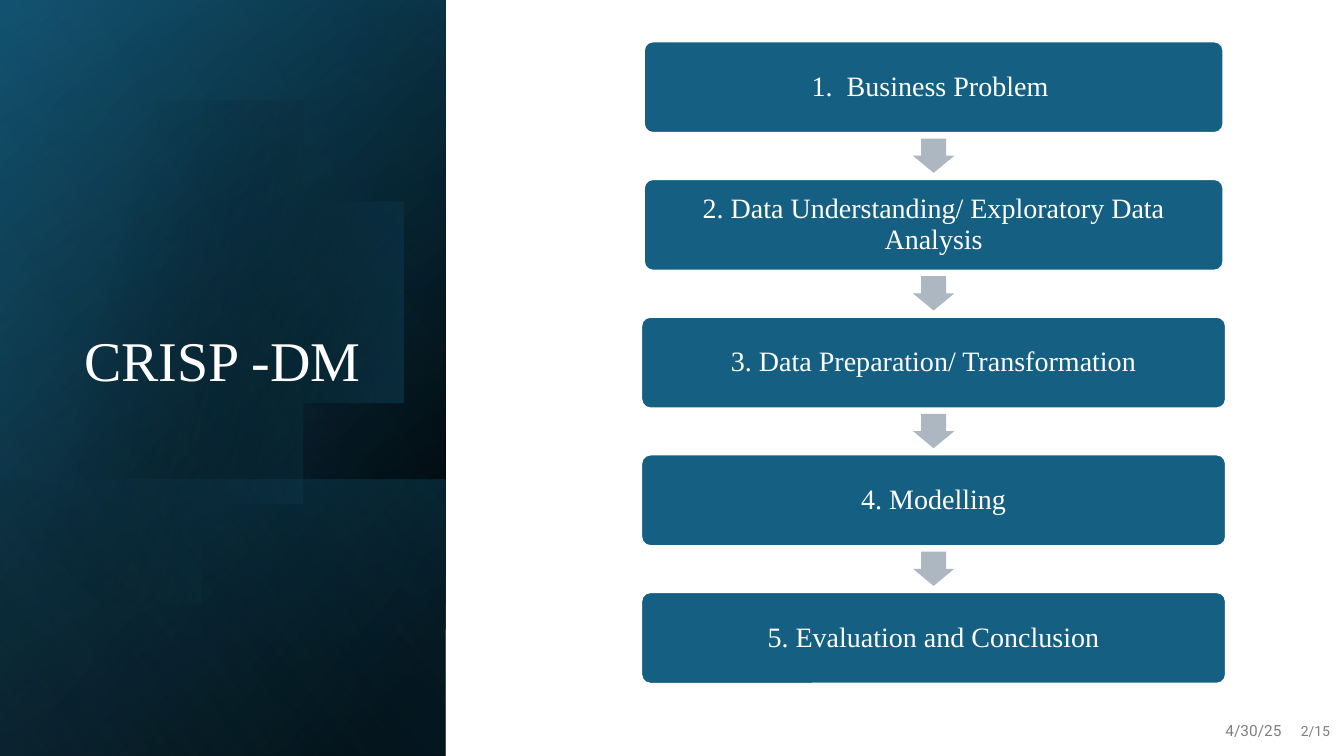
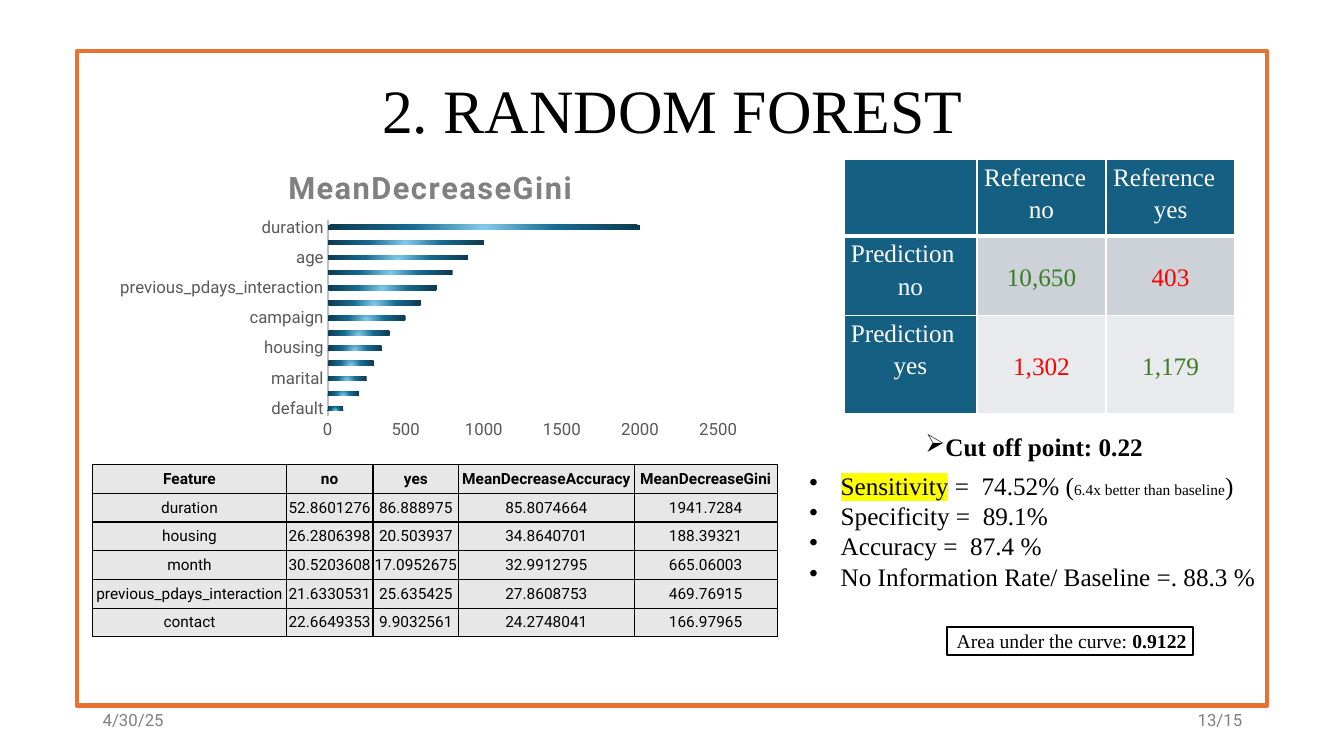
from math import cos, sin, radians
from lxml.etree import SubElement
from pptx import Presentation
from pptx.chart.data import CategoryChartData
from pptx.dml.color import RGBColor
from pptx.enum.chart import XL_CHART_TYPE, XL_TICK_MARK
from pptx.enum.shapes import MSO_SHAPE
from pptx.enum.text import MSO_ANCHOR, PP_ALIGN
from pptx.oxml import parse_xml
from pptx.oxml.ns import nsdecls, qn
from pptx.util import Inches, Pt

COLOURS = {
    "black": "000000", "white": "FFFFFF", "teal": "156082", "deep": "104862",
    "sky": "46B1E1", "arrow": "ACB7C1", "orange": "E97132", "footer": "808080",
    "label": "595959", "axis": "BFBFBF", "feature": "E7E7E7", "band": "CCD2D8",
    "light_band": "E8EAED", "green": "3B7D23", "red": "FF0000", "yellow": "FFFF00",
    "bar_light": "83CBEB", "bar_mid": "176B91", "bar_dark": "0D3A4E",
}
RGB = {name: RGBColor.from_string(value) for name, value in COLOURS.items()}
SERIF, SANS = "Times New Roman", "Roboto"
LEFT, CENTER, RIGHT = PP_ALIGN.LEFT, PP_ALIGN.CENTER, PP_ALIGN.RIGHT


def write(frame, lines, size, font=SERIF, colour="black", align=LEFT, bold=False, spacing=1.0):
    """Fill a text frame with one paragraph per line; a line is a list of run texts."""
    frame.word_wrap = True
    frame.vertical_anchor = MSO_ANCHOR.MIDDLE
    for index, runs in enumerate(lines):
        para = frame.paragraphs[0] if index == 0 else frame.add_paragraph()
        para.alignment, para.line_spacing = align, spacing
        para.font.size, para.font.name, para.font.bold = Pt(size), font, bold
        para.font.color.rgb = RGB[colour]
        for text in runs:
            para.add_run().text = text


def gradient(fill, element, stops, direction):
    """Swap the fill for a gradient; a stop is position, colour and opacity in percent."""
    fill.background()
    marks = "".join(
        f'<a:gs pos="{place * 1000}"><a:srgbClr val="{COLOURS[name]}">'
        f'<a:alpha val="{opacity * 1000}"/></a:srgbClr></a:gs>'
        for place, name, opacity in stops)
    blank = element.xpath(".//a:noFill")[0]
    blank.getparent().replace(blank, parse_xml(
        f'<a:gradFill {nsdecls("a")} rotWithShape="1"><a:gsLst>{marks}</a:gsLst>'
        f'{direction}</a:gradFill>'))


deck = Presentation()
deck.slide_width, deck.slide_height = Inches(13.33), Inches(7.5)
process, forest = [deck.slides.add_slide(deck.slide_layouts[6]) for number in range(2)]

# Titles and footers
captions = [
    (forest, "2. RANDOM FOREST", (0.92, 0.4, 11.5, 1.45), 44, SERIF, "black", CENTER),
    (forest, "4/30/25", (0.92, 6.95, 3, 0.4), 12, SANS, "footer", LEFT),
    (forest, "13/15", (9.42, 6.95, 3, 0.4), 12, SANS, "footer", RIGHT),
    (process, "4/30/25", (9.81, 7.06, 3, 0.4), 11, SANS, "footer", RIGHT),
    (process, "2/15", (12.69, 7.06, 0.6, 0.4), 10, SANS, "footer", RIGHT),
    (process, "CRISP -DM", (0.5, 2.29, 3.41, 2.62), 40, SERIF, "white", CENTER),
]
for page, text, place, size, font, colour, align in captions:
    box = page.shapes.add_textbox(*map(Inches, place))
    write(box.text_frame, [[text]], size, font, colour, align, spacing=0.9)
process_title = box

# Side panel: layered gradients, turned a quarter, with a disc cut by the page edge
whole, lower = (-1.54, 1.54, 7.5, 4.42), (0.84, 3.92, 2.74, 4.42)
layers = [
    (whole, 50, [(8, "black", 100), (100, "deep", 100)]),
    (whole, 30, [(0, "black", 0), (99, "teal", 46)]),
    (lower, 130, [(2, "teal", 29), (100, "black", 30)]),
    (None, 14, [(29, "black", 0), (100, "teal", 43)]),
    (whole, 120, [(0, "black", 0), (99, "sky", 11)]),
]
for place, angle, stops in layers:
    if place:
        layer = process.shapes.add_shape(MSO_SHAPE.RECTANGLE, *map(Inches, place))
        layer.rotation = 90
        layer._element.spPr.xfrm.set("flipH", "1")
    else:
        arc = [(1.43 + 2.29 * cos(radians(turn)), 3.39 + 2.29 * sin(radians(turn)))
               for turn in range(-128, 129, 2)]
        outline = process.shapes.build_freeform(*arc[0], scale=Inches(1))
        outline.add_line_segments(arc[1:], close=True)
        layer = outline.convert_to_shape()
    gradient(layer.fill, layer._element, stops, f'<a:lin ang="{angle * 60000}" scaled="0"/>')
    layer.line.fill.background()
    layer.shadow.inherit = False
process.shapes._spTree.append(process_title._element)

# Process steps with arrows between them
steps = ["1.  Business Problem ", "2. Data Understanding/ Exploratory Data Analysis",
         "3. Data Preparation/ Transformation", "4. Modelling", "5. Evaluation and Conclusion"]
middle, pitch = 9.26, 1.366
for index, text in enumerate(steps):
    top = 0.41 + index * pitch
    width = 5.75 if index < 2 else 5.8
    step = process.shapes.add_shape(MSO_SHAPE.ROUNDED_RECTANGLE, Inches(middle - width / 2),
                                    Inches(top), Inches(width), Inches(0.91))
    step.adjustments[0] = 0.1
    step.line.color.rgb, step.line.width = RGB["white"], Pt(1.5)
    write(step.text_frame, [[text]], 20, colour="white", align=CENTER, spacing=0.9)
    parts = [(step, "teal")]
    if index < len(steps) - 1:
        arrow = process.shapes.add_shape(MSO_SHAPE.DOWN_ARROW, Inches(middle - 0.205),
                                         Inches(top + 0.965), Inches(0.41), Inches(0.34))
        arrow.adjustments[0], arrow.adjustments[1] = 0.6, 0.5
        arrow.line.fill.background()
        parts.append((arrow, "arrow"))
    for part, colour in parts:
        part.fill.solid()
        part.fill.fore_color.rgb = RGB[colour]
        part.shadow.inherit = False

# Page frame and area-under-curve box
for place, colour, weight in [((0.76, 0.51, 11.81, 6.49), "orange", 3),
                              ((9.39, 6.22, 2.44, 0.28), "black", 1.5)]:
    frame = forest.shapes.add_shape(MSO_SHAPE.RECTANGLE, *map(Inches, place))
    frame.fill.background()
    frame.line.color.rgb, frame.line.width = RGB[colour], Pt(weight)
    frame.shadow.inherit = False
area = frame.text_frame
area.margin_top = area.margin_bottom = area.margin_right = 0
write(area, [["Area under the curve: ", "0.9122"]], 14)
area.paragraphs[0].runs[1].font.bold = True

# Feature table and confusion matrix
features = [
    ["Feature", "no", "yes", "MeanDecreaseAccuracy", "MeanDecreaseGini"],
    ["duration", "52.8601276", "86.888975", "85.8074664", "1941.7284"],
    ["housing", "26.2806398", "20.503937", "34.8640701", "188.39321"],
    ["month", "30.5203608", "17.0952675", "32.9912795", "665.06003"],
    ["previous_pdays_interaction", "21.6330531", "25.635425", "27.8608753", "469.76915"],
    ["contact", "22.6649353", "9.9032561", "24.2748041", "166.97965"],
]
matrix = [
    ["", "Reference\nno", "Reference\nyes"],
    ["Prediction\nno", "10,650", "403"],
    ["Prediction\nyes", "1,302", "1,179"],
]
tables = [
    (features, (0.92, 4.61), [1.92, 0.86, 0.85, 1.74, 1.42], [0.285] * 6),
    (matrix, (8.37, 1.58), [1.32, 1.28, 1.28], [0.76, 0.79, 0.97]),
]
for rows, corner, widths, heights in tables:
    is_matrix = rows is matrix
    table = forest.shapes.add_table(len(rows), len(widths), *map(
        Inches, (*corner, sum(widths), sum(heights)))).table
    for column, width in zip(table.columns, widths):
        column.width = Inches(width)
    for r, row in enumerate(rows):
        table.rows[r].height = Inches(heights[r])
        for c, text in enumerate(row):
            cell = table.cell(r, c)
            heading = r == 0 or c == 0
            fill, colour = "feature", "black"
            if is_matrix:
                fill = "teal" if heading else ("band" if r == 1 else "light_band")
                colour = "white" if heading else ("green" if r == c else "red")
            cell.fill.solid()
            cell.fill.fore_color.rgb = RGB[fill]
            cell.margin_left = cell.margin_right = Inches(0.07 if is_matrix else 0.01)
            cell.margin_top = cell.margin_bottom = 0
            write(cell.text_frame, [[line] for line in text.split("\n")],
                  18 if is_matrix else 11, SERIF if is_matrix else SANS, colour, CENTER,
                  bold=not is_matrix and r == 0, spacing=1.16 if is_matrix else 1.0)
            cell.vertical_anchor = MSO_ANCHOR.MIDDLE
            if is_matrix and heading:
                cell.vertical_anchor = MSO_ANCHOR.TOP
                cell.text_frame.paragraphs[0].alignment = PP_ALIGN.JUSTIFY
            for position, side in enumerate("LRTB"):
                thick = is_matrix and (r, side) in [(0, "B"), (1, "T")]
                edge = COLOURS["white" if is_matrix else "black"]
                cell._tc.get_or_add_tcPr().insert(position, parse_xml(
                    f'<a:ln{side} {nsdecls("a")} w="{Pt(3 if thick else 1)}"><a:solidFill>'
                    f'<a:srgbClr val="{edge}"/></a:solidFill></a:ln{side}>'))

# Results with bullets
results = [
    ["Sensitivity", " =  74.52% (", "6.4x better than baseline", ")"],
    ["Specificity =  89.1%"], ["Accuracy =  87.4 %"],
    ["No Information Rate/ Baseline =. 88.3 %"],
]
for lines, place, mark, indent, bold in [
        (results, (7.93, 4.61, 4.74, 1.31), "•", 0.31, False),
        ([["Cut off point: 0.22"]], (9.08, 4.23, 2.45, 0.4), "➢", 0, True)]:
    box = forest.shapes.add_textbox(*map(Inches, place))
    write(box.text_frame, lines, 18, bold=bold)
    for para in box.text_frame.paragraphs:
        properties = para._p.get_or_add_pPr()
        properties.set("marL", str(Inches(indent)))
        properties.set("indent", str(-Inches(indent)))
        bullet = parse_xml(f'<a:buChar {nsdecls("a")} char="{mark}"/>')
        properties.find(qn("a:defRPr")).addprevious(bullet)
    if lines is results:
        spans = box.text_frame.paragraphs[0].runs
        spans[2].font.size = Pt(11)
        highlight = SubElement(spans[0]._r.get_or_add_rPr(), qn("a:highlight"))
        SubElement(highlight, qn("a:srgbClr")).set("val", COLOURS["yellow"])

# Importance chart
data = CategoryChartData()
data.categories = ["default", "loan", "marital", "contact", "housing", "education", "campaign",
                   "job", "previous_pdays_interaction", "month", "age", "balance", "duration"]
data.add_series("Series 1", [100, 200, 250, 300, 350, 400, 500, 600, 700, 800, 900, 1000, 2000])
chart = forest.shapes.add_chart(XL_CHART_TYPE.BAR_CLUSTERED,
                                *map(Inches, (1.09, 1.43, 6.35, 3)), data).chart
chart.has_legend = False
chart.font.name, chart.font.size = SANS, Pt(12)
chart.font.color.rgb = RGB["label"]
heading = chart.chart_title.text_frame
heading.text = "MeanDecreaseGini"
span = heading.paragraphs[0].runs[0]
span.font.size, span.font.bold, span.font.name = Pt(22), True, SANS
span.font.color.rgb = RGB["footer"]
span._r.get_or_add_rPr().set("spc", "120")
for axis in (chart.category_axis, chart.value_axis):
    axis.has_major_gridlines = False
    axis.major_tick_mark = axis.minor_tick_mark = XL_TICK_MARK.NONE
chart.category_axis.format.line.color.rgb = RGB["axis"]
chart.category_axis.format.line.width = Pt(1.5)
chart.value_axis.format.line.fill.background()
chart.value_axis.minimum_scale, chart.value_axis.maximum_scale = 0, 2500
chart.value_axis.major_unit = 500
plot = chart.plots[0]
plot.gap_width, plot.overlap, plot.vary_by_categories = 227, -48, False
bars = plot.series[0]
gradient(bars.format.fill, bars._element,
         [(0, "bar_light", 100), (46, "bar_mid", 100), (100, "bar_dark", 100)],
         '<a:path path="circle"><a:fillToRect l="50000" t="130000" r="50000" b="-30000"/></a:path>')

# Fixed places for the chart title and the plot
for owner, target, sizes in [("c:title", "", {"x": 0.27, "y": 0.06}),
                             ("c:plotArea", '<c:layoutTarget val="inner"/>',
                              {"x": 0.34, "y": 0.25, "w": 0.61, "h": 0.65})]:
    parent = chart._chartSpace.xpath(f".//{owner}")[0]
    for old in parent.findall(qn("c:layout")):
        parent.remove(old)
    modes = "".join(f'<c:{key}Mode val="edge"/>' for key in "xy")
    values = "".join(f'<c:{key} val="{value}"/>' for key, value in sizes.items())
    parent.insert(1 if owner == "c:title" else 0, parse_xml(
        f'<c:layout {nsdecls("c")}><c:manualLayout>{target}{modes}{values}'
        f'</c:manualLayout></c:layout>'))

deck.save("out.pptx")
